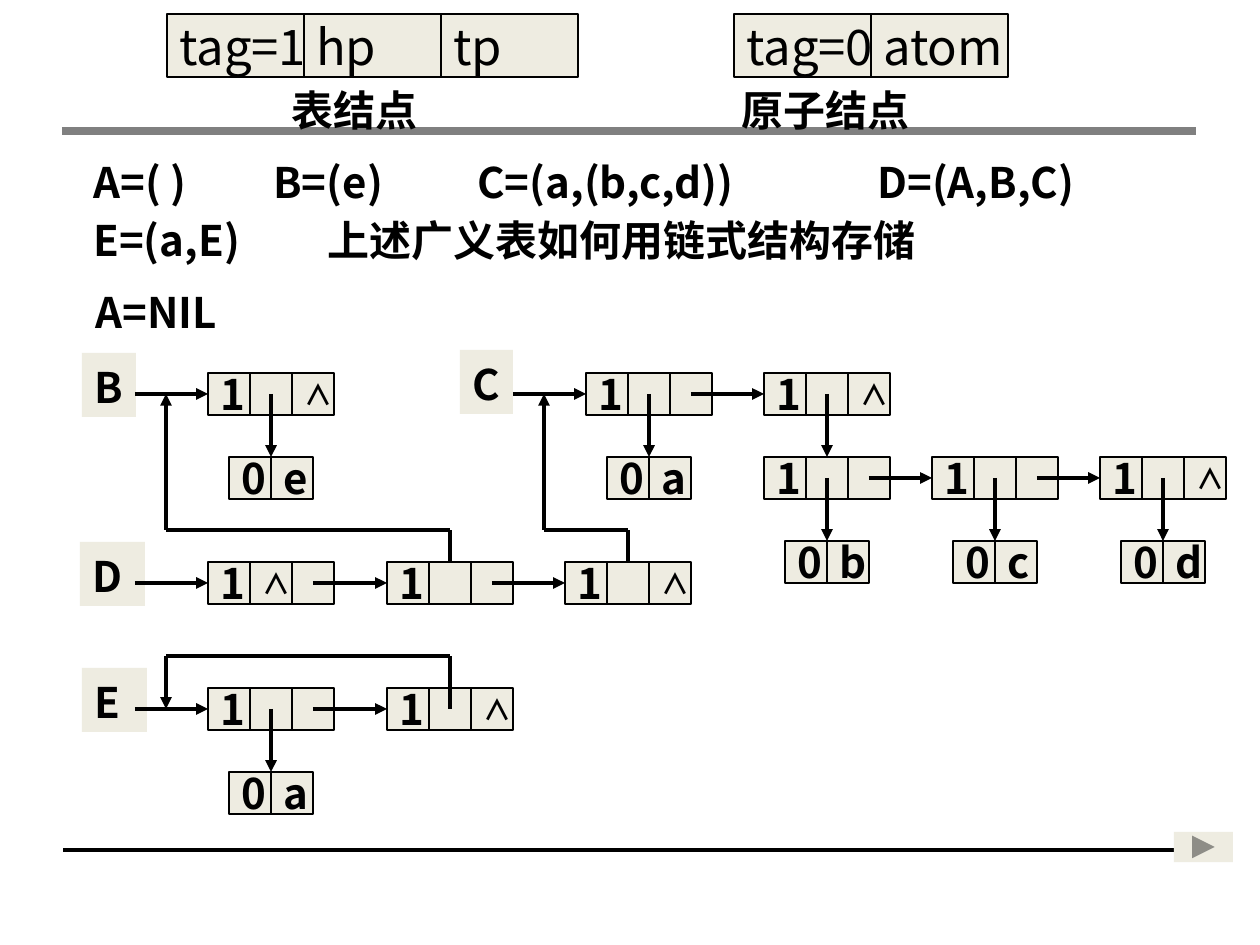
"""Build a slide showing the linked storage of generalized lists."""
import dataclasses

import lxml.etree
import pptx
import pptx.dml.color
import pptx.enum.shapes
import pptx.enum.text
import pptx.oxml.ns
import pptx.util


@dataclasses.dataclass(frozen=True)
class Theme:
    font: str = "Noto Sans CJK SC"
    ink: pptx.dml.color.RGBColor = pptx.dml.color.RGBColor(0, 0, 0)
    rule: pptx.dml.color.RGBColor = pptx.dml.color.RGBColor(0x80, 0x80, 0x80)
    panel: pptx.dml.color.RGBColor = pptx.dml.color.RGBColor(0xEE, 0xEC, 0xE1)
    field_size: int = 28
    text_size: int = 24
    null_size: int = 16
    border: float = 0.75
    link: float = 2.25


theme = Theme()
EMU_PER_PX = 914400 / 126
SHAPES = pptx.enum.shapes.MSO_SHAPE
ANCHOR = pptx.enum.text.MSO_ANCHOR
CELL = 42
NULL = "∧"
qn = pptx.oxml.ns.qn

presentation = pptx.Presentation()
presentation.slide_width = round(1260 * EMU_PER_PX)
presentation.slide_height = round(945 * EMU_PER_PX)
slide = presentation.slides.add_slide(presentation.slide_layouts[6])


def add_box(left, top, width, height, text="", size=theme.text_size, bold=True,
            filled=True, bordered=True, preset=SHAPES.RECTANGLE, spacing=None, tabs=()):
    frame = [round(value * EMU_PER_PX) for value in (left, top, width, height)]
    if filled:
        shape = slide.shapes.add_shape(preset, *frame)
        shape.shadow.inherit = False
        shape.fill.solid()
        shape.fill.fore_color.rgb = theme.panel
        if bordered:
            shape.line.color.rgb = theme.ink
            shape.line.width = pptx.util.Pt(theme.border)
        else:
            shape.line.fill.background()
    else:
        shape = slide.shapes.add_textbox(*frame)
    if not text:
        return shape
    text_frame = shape.text_frame
    text_frame.text = text
    text_frame.word_wrap = spacing is not None
    text_frame.vertical_anchor = ANCHOR.TOP if spacing else ANCHOR.MIDDLE
    for index, paragraph in enumerate(text_frame.paragraphs):
        paragraph.alignment = pptx.enum.text.PP_ALIGN.LEFT
        if spacing:
            paragraph.line_spacing = pptx.util.Pt(spacing)
        if tabs:
            properties = paragraph._p.get_or_add_pPr()
            tab_list = lxml.etree.SubElement(properties, qn("a:tabLst"))
            for position in tabs[index]:
                lxml.etree.SubElement(tab_list, qn("a:tab"), algn="l",
                                      pos=str(round(position * EMU_PER_PX)))
        for run in paragraph.runs:
            run.font.size = pptx.util.Pt(size)
            run.font.bold = bold
            run.font.color.rgb = theme.ink
            run.font.name = theme.font
            lxml.etree.SubElement(run._r.rPr, qn("a:ea"), typeface=theme.font)
    return shape


def add_line(start, end, width=theme.link, color=theme.ink, arrow=False):
    ends = [round(value * EMU_PER_PX) for value in (*start, *end)]
    connector = slide.shapes.add_connector(pptx.enum.shapes.MSO_CONNECTOR.STRAIGHT, *ends)
    connector.line.color.rgb = color
    connector.line.width = pptx.util.Pt(width)
    if arrow:
        lxml.etree.SubElement(connector.line._get_or_add_ln(), qn("a:tailEnd"), type="triangle")
    lxml.etree.SubElement(connector._element.spPr, qn("a:effectLst"))
    return connector


add_line((63, 850), (1197, 850), width=2)
add_line((62, 131), (1196, 131), width=5, color=theme.rule)

for record_left, fields in ((167, ("tag=1", "hp", "tp")), (734, ("tag=0", "atom"))):
    for index, field in enumerate(fields):
        add_box(record_left + 137 * index, 14, 137, 63, field, theme.field_size, bold=False)

add_box(251, 76, 766, 63, "\t表结点\t原子结点", filled=False, spacing=30, tabs=[(28, 478)])
add_box(83, 278, 284, 63, "A=NIL", filled=False, spacing=30)
add_box(81, 143, 1144, 127,
        "A=( )\tB=(e)\tC=(a,(b,c,d))\tD=(A,B,C)\nE=(a,E)\t上述广义表如何用链式结构存储",
        filled=False, spacing=33, tabs=[(180, 384, 784), (234,)])

labels = (("B", 82, 353, 54), ("C", 460, 350, 53), ("D", 80, 542, 65), ("E", 82, 668, 65))
for name, left, top, width in labels:
    add_box(left, top, width, 64, name, bordered=False, spacing=30)

# Each node: left, head cell text, tail cell text, atom (None: no link, "": link to a list)
chains = (
    (373, True, ((208, "", NULL, "e"),)),
    (373, True, ((586, "", "", "a"), (764, "", NULL, ""))),
    (457, False, ((764, "", "", "b"), (932, "", "", "c"), (1100, "", NULL, "d"))),
    (562, True, ((208, NULL, "", None), (387, "", "", None), (565, "", NULL, None))),
    (688, True, ((208, "", "", "a"), (387, "", NULL, None))),
)
head_cells = {}
links = []
for top, labelled, nodes in chains:
    middle = top + CELL // 2
    link_start = nodes[0][0] - 73 if labelled else None
    for left, head, tail, atom in nodes:
        tag_cell = add_box(left, top, CELL, CELL, "1")
        head_cells[left, top] = add_box(left + CELL, top, CELL, CELL, head, theme.null_size)
        add_box(left + 2 * CELL, top, CELL, CELL, tail, theme.null_size)
        if link_start is not None:
            links.append(((link_start, middle), (left, middle), tag_cell))
        link_start = left + 5 * CELL // 2
        if atom is not None:
            head_x = left + 3 * CELL // 2
            links.append(((head_x, middle), (head_x, top + 2 * CELL), None))
        if atom:
            for index, text in enumerate(("0", atom)):
                add_box(left + CELL // 2 + index * CELL, top + 2 * CELL, CELL, CELL, text)

for start, end, target in links:
    connector = add_line(start, end, arrow=True)
    if target is not None:
        connector.end_connect(target, 1)

routes = (
    ((450, 562), 530, (166, 394), head_cells[387, 562]),
    ((628, 562), 530, (544, 394), head_cells[565, 562]),
    ((450, 709), 656, (166, 709), None),
)
for start, turn, end, source in routes:
    stem = add_line(start, (start[0], turn))
    if source is not None:
        stem.begin_connect(source, 0)
    add_line((start[0], turn), (end[0], turn))
    add_line((end[0], turn), end, arrow=True)

add_box(1174, 832, 59, 30, bordered=False, preset=SHAPES.ACTION_BUTTON_FORWARD_OR_NEXT)

presentation.save("out.pptx")
